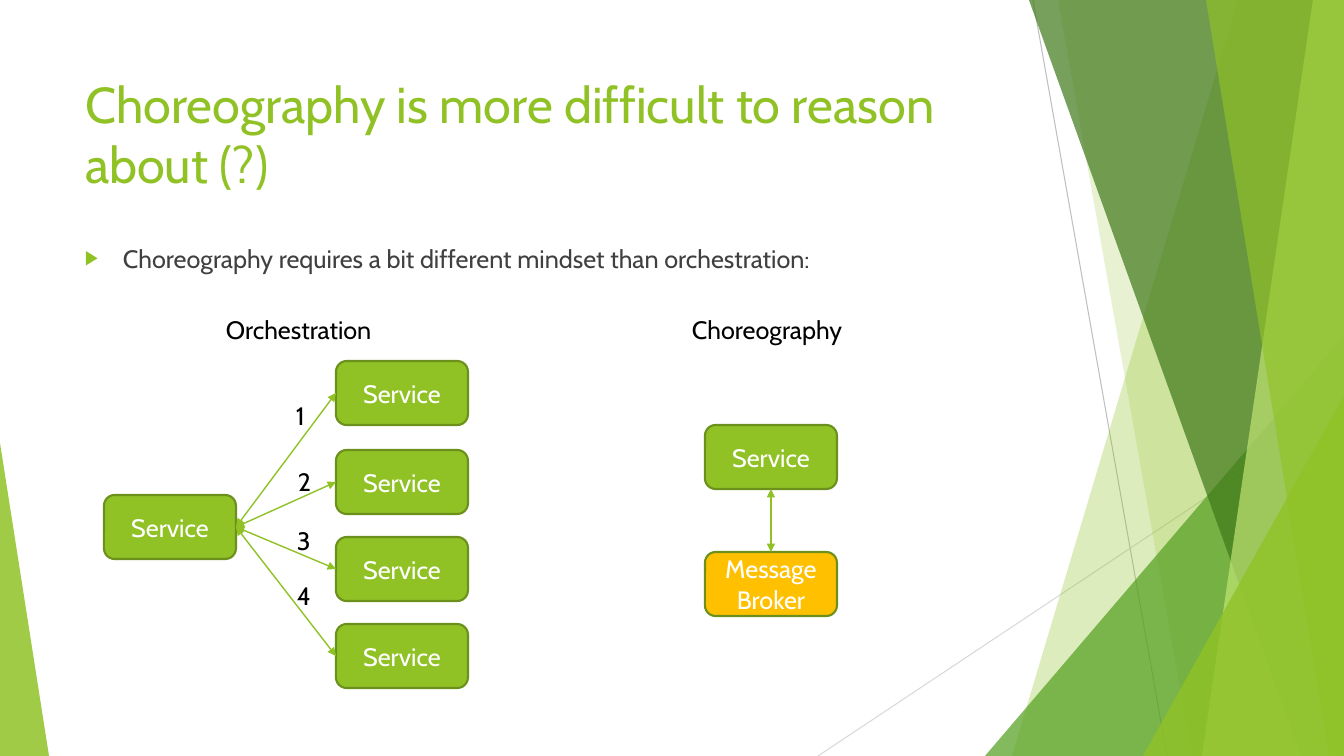
"""Builds the slide that contrasts orchestration with choreography."""
from dataclasses import dataclass

from pptx import Presentation
from pptx.dml.color import RGBColor
from pptx.enum.shapes import MSO_CONNECTOR, MSO_SHAPE as Shape
from pptx.enum.text import MSO_ANCHOR as Anchor, MSO_AUTO_SIZE as AutoSize, PP_ALIGN as Align
from pptx.oxml.ns import qn
from pptx.oxml.xmlchemy import OxmlElement
from pptx.util import Pt


@dataclass(frozen=True)
class Theme:
    font: str = "Cabin"
    title_size: int = 36
    text_size: int = 18
    green: str = "90C226"
    mid_green: str = "54A021"
    dark_green: str = "3F7819"
    pale_green: str = "C0E474"
    edge: str = "6B901C"
    amber: str = "FFC000"
    white: str = "FFFFFF"
    black: str = "000000"
    body: str = "404040"
    grey: str = "BFBFBF"
    light_grey: str = "D9D9D9"


THEME = Theme()
EMU_PER_PX = 914400 / 100.8
WIDTH, HEIGHT = 1344, 756

TITLE = ("Choreography is more difficult to reason about (?)", (75, 68, 948, 145))
BULLET = ("Choreography requires a bit different mindset than orchestration:", (75, 238, 948, 427))
HEADINGS = [("Orchestration", (216, 309, 176, 40)), ("Choreography", (682, 309, 177, 40))]
STEPS = [("1", (286, 395)), ("2", (288, 461)), ("3", (287, 520)), ("4", (287, 575))]
STEP_SIZE = (34, 40)

BOX_SIZE = (132, 64)
CALLER = ("Service", (104, 495), THEME.green)
CALLED_LEFT = 336
CALLED_TOPS = [361, 450, 537, 624]
SENDER = ("Service", (705, 425), THEME.green)
BROKER = ("Message Broker", (705, 552), THEME.amber)
TOP, LEFT, BOTTOM, RIGHT = range(4)

RULES = [((1033, 0), (1167, HEIGHT), THEME.grey), ((WIDTH, 406), (818, HEIGHT), THEME.light_grey)]
DECOR = [
    ("band", (1238, 1012), THEME.green, 30),
    ("band", (1058, 1192), THEME.green, 20),
    ("triangle", (985, 336, 359, 420, 1), THEME.mid_green, 72),
    ("band", (1029, 1301), THEME.dark_green, 70),
    ("band", (1313, 1202), THEME.pale_green, 70),
    ("band", (1206, 1329), THEME.green, 65),
    ("triangle", (1143, 396, 201, 360, 1), THEME.green, 80),
    ("triangle", (0, 443, 49, 313, 0), THEME.green, 85),
]


def emu(*lengths):
    return [round(length * EMU_PER_PX) for length in lengths]


def write(para, text, color, size=THEME.text_size):
    span = para.add_run()
    span.text = text
    span.font.name = THEME.font
    span.font.size = Pt(size)
    span.font.color.rgb = RGBColor.from_string(color)


def paint(shape, color, opacity=100):
    shape.shadow.inherit = False
    shape.fill.solid()
    shape.fill.fore_color.rgb = RGBColor.from_string(color)
    if opacity < 100:
        alpha = OxmlElement("a:alpha")
        alpha.set("val", str(opacity * 1000))
        shape.element.spPr.find(".//" + qn("a:srgbClr")).append(alpha)
    shape.line.fill.background()


def add_line(page, start, end, color, width):
    line = page.shapes.add_connector(MSO_CONNECTOR.STRAIGHT, *emu(*start, *end))
    line.line.color.rgb = RGBColor.from_string(color)
    line.line.width = Pt(width)
    line.element.spPr.append(OxmlElement("a:effectLst"))
    return line


def add_decor(page, kind, place, color, opacity):
    if kind == "band":
        top_left, bottom_left = place
        outline = page.shapes.build_freeform(top_left, 0, scale=EMU_PER_PX)
        outline.add_line_segments([(WIDTH, 0), (WIDTH, HEIGHT), (bottom_left, HEIGHT)])
        shape = outline.convert_to_shape()
    else:
        *frame, apex = place
        shape = page.shapes.add_shape(Shape.ISOSCELES_TRIANGLE, *emu(*frame))
        shape.adjustments[0] = apex
    paint(shape, color, opacity)


def add_text(page, text, frame, color=THEME.black):
    box = page.shapes.add_textbox(*emu(*frame))
    box.text_frame.word_wrap = True
    para = box.text_frame.paragraphs[0]
    write(para, text, color)
    return para


def add_bullet(para, indent=38):
    props = para._p.get_or_add_pPr()
    (margin,) = emu(indent)
    props.set("marL", str(margin))
    props.set("indent", str(-margin))
    color = OxmlElement("a:buClr")
    value = OxmlElement("a:srgbClr")
    value.set("val", THEME.green)
    color.append(value)
    props.append(color)
    for tag, name, setting in [("a:buSzPct", "val", "80000"),
                               ("a:buFont", "typeface", "Arial"),
                               ("a:buChar", "char", "▶")]:
        part = OxmlElement(tag)
        part.set(name, setting)
        props.append(part)


def add_box(page, text, corner, color):
    box = page.shapes.add_shape(Shape.ROUNDED_RECTANGLE, *emu(*corner, *BOX_SIZE))
    paint(box, color)
    box.line.color.rgb = RGBColor.from_string(THEME.edge)
    box.line.width = Pt(1.5)
    box.text_frame.word_wrap = True
    box.text_frame.vertical_anchor = Anchor.MIDDLE
    para = box.text_frame.paragraphs[0]
    para.alignment = Align.CENTER
    write(para, text, THEME.white)
    return box


def link(page, source, source_side, target, target_side):
    arrow = add_line(page, (0, 0), (0, 0), THEME.green, 1)
    arrow.begin_connect(source, source_side)
    arrow.end_connect(target, target_side)
    for tag in ("a:headEnd", "a:tailEnd"):
        end = OxmlElement(tag)
        end.set("type", "triangle")
        arrow.line._get_or_add_ln().append(end)


def set_title(page):
    text, frame = TITLE
    title = page.shapes.title
    title.left, title.top, title.width, title.height = emu(*frame)
    title.text_frame.auto_size = AutoSize.NONE
    title.text_frame.vertical_anchor = Anchor.TOP
    para = title.text_frame.paragraphs[0]
    para.alignment = Align.LEFT
    write(para, text, THEME.green, THEME.title_size)


def main():
    deck = Presentation()
    deck.slide_width, deck.slide_height = emu(WIDTH, HEIGHT)
    page = deck.slides.add_slide(deck.slide_layouts[5])
    for start, end, color in RULES:
        add_line(page, start, end, color, 0.75)
    for item in DECOR:
        add_decor(page, *item)
    set_title(page)
    add_bullet(add_text(page, *BULLET, THEME.body))

    caller = add_box(page, *CALLER)
    for top in CALLED_TOPS:
        called = add_box(page, "Service", (CALLED_LEFT, top), THEME.green)
        link(page, caller, RIGHT, called, LEFT)
    for text, corner in STEPS:
        add_text(page, text, corner + STEP_SIZE)

    sender, broker = add_box(page, *SENDER), add_box(page, *BROKER)
    link(page, sender, BOTTOM, broker, TOP)
    for text, frame in HEADINGS:
        add_text(page, text, frame)
    deck.save("out.pptx")


if __name__ == "__main__":
    main()
